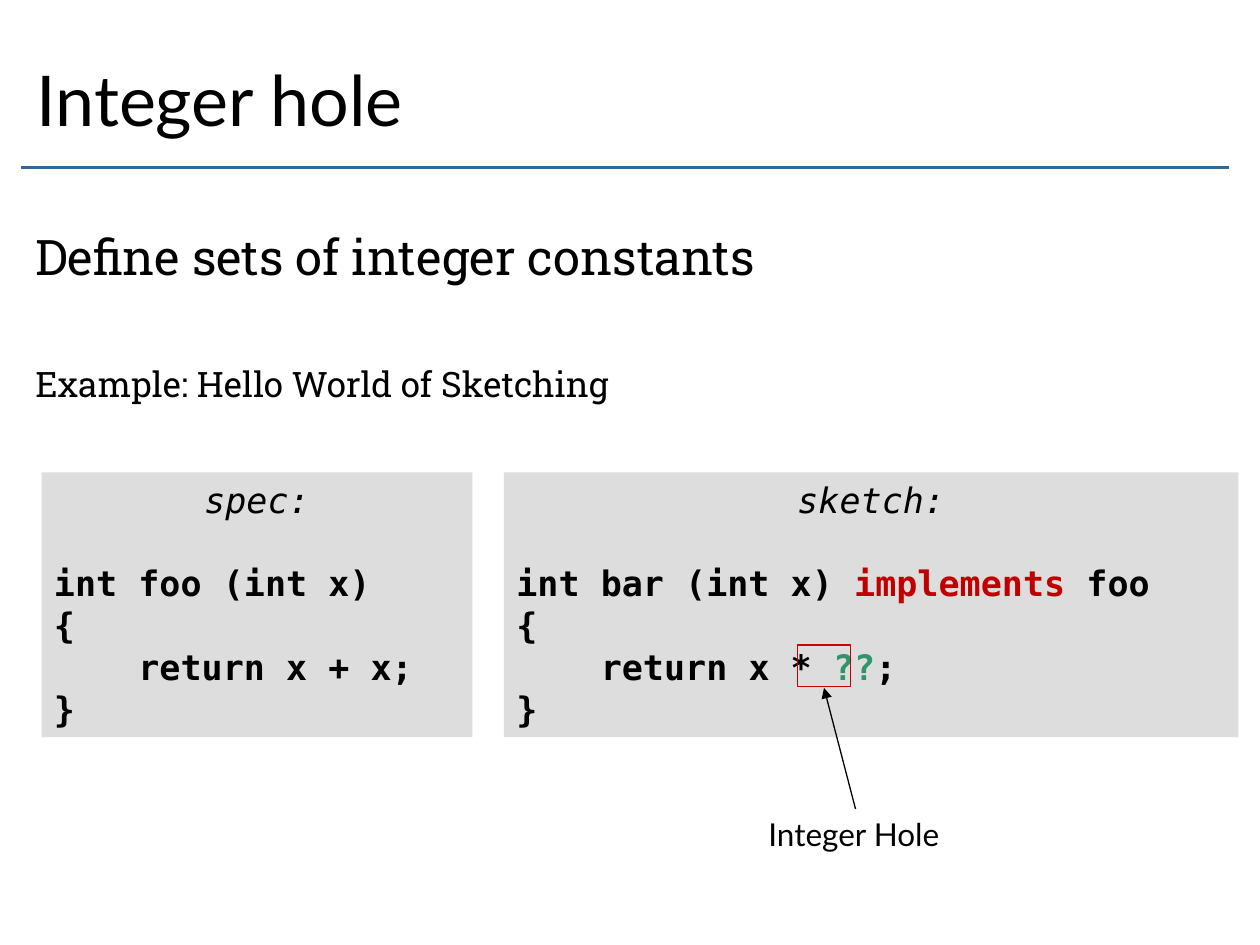
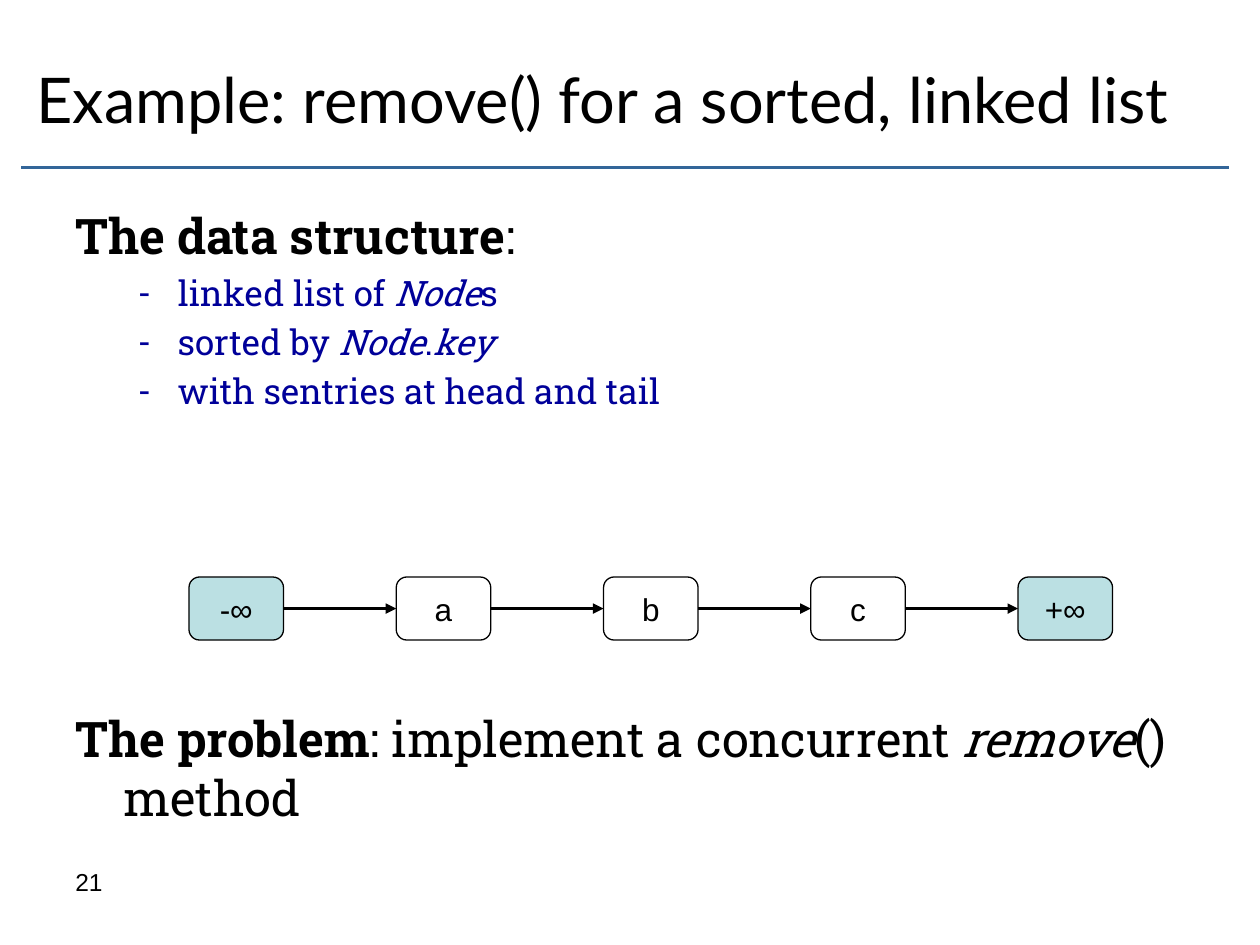
from lxml.etree import SubElement as Sub
from pptx import Presentation
from pptx.dml.color import RGBColor as Rgb
from pptx.enum.shapes import MSO_CONNECTOR as Conn, MSO_SHAPE as Kind
from pptx.enum.text import MSO_ANCHOR as Anchor, MSO_AUTO_SIZE as Auto, PP_ALIGN as Align
from pptx.oxml.ns import qn
from pptx.util import Inches, Pt

HUE = {
    "ink": "000000", "rule": "336699", "panel": "DDDDDD", "key": "C00000",
    "hole": "32946A", "frame": "CC0000", "list": "000099", "end": "BBE0E3",
}
HEAD, BODY, CODE, SANS = "Lato", "Roboto Slab", "DejaVu Sans Mono", "Arial"


def write(para, parts, face, size, hue="ink"):
    for text, style, *tint in parts:
        run = para.add_run()
        run.text = text
        font = run.font
        font.name, font.size = face, Pt(size)
        font.bold, font.italic = "b" in style, "i" in style
        font.color.rgb = Rgb.from_string(HUE[tint[0] if tint else hue])


def draw(slide, start, end, hue, width, arrow=True):
    points = [Inches(n) for n in (*start, *end)]
    line = slide.shapes.add_connector(Conn.STRAIGHT, *points)
    line.line.color.rgb = Rgb.from_string(HUE[hue])
    line.line.width = Pt(width)
    if arrow:
        Sub(line.line._get_or_add_ln(), qn("a:tailEnd"), type="triangle")
    Sub(line._element.spPr, qn("a:effectLst"))


deck = Presentation()
deck.slide_width, deck.slide_height = Inches(10), Inches(7.5)

pages = [
    ("Integer hole", 40, 9, (0.18, 1.75, 9, 4.17), [
        (0, 0, [("Define sets of integer constants", "")], 28),
        (0, 44, [("Example: Hello World of Sketching", "")], 20),
    ]),
    ("Example: remove() for a sorted, linked list", 36, 9.65, (0.5, 1.58, 9.08, 5.75), [
        (0, 0, [("The data structure", "b"), (":", "")], 28),
        (1, 0, [("linked list of ", ""), ("Node", "i"), ("s", "")], 20),
        (1, 0, [("sorted by ", ""), ("Node", "i"), (".", ""), ("key", "i")], 20),
        (1, 0, [("with sentries at head and tail", "")], 20),
        (0, 170, [("The problem", "b"), (": implement a concurrent ", ""),
                  ("remove", "i"), ("() method", "")], 28),
    ]),
]

slides = []
for title, size, width, place, items in pages:
    slide = deck.slides.add_slide(deck.slide_layouts[1])
    slides.append(slide)
    draw(slide, (0.17, 1.33), (9.75, 1.33), "rule", 2, False)

    head, body = slide.placeholders
    head.left, head.top, head.width, head.height = map(Inches, (0.19, 0.18, width, 1.2))
    head.text_frame.auto_size = Auto.NONE
    head.text_frame.vertical_anchor = Anchor.MIDDLE
    para = head.text_frame.paragraphs[0]
    para.alignment = Align.LEFT
    write(para, [(title, "")], HEAD, size)

    body.left, body.top, body.width, body.height = map(Inches, place)
    frame = body.text_frame
    frame.auto_size = Auto.NONE
    for i, (level, gap, parts, size) in enumerate(items):
        para = frame.add_paragraph() if i else frame.paragraphs[0]
        para.level = level
        if gap:
            para.space_before = Pt(gap)
        props = para._p.get_or_add_pPr()
        left, hang = ((0.38, 0.38), (0.81, 0.31))[level]
        props.set("marL", str(Inches(left)))
        props.set("indent", str(-Inches(hang)))
        if level:
            Sub(props, qn("a:buChar"), char="-")
        else:
            Sub(props, qn("a:buNone"))
        write(para, parts, BODY, size, "list" if level else "ink")

first, second = slides

panels = [
    (0.33, 3.42, "spec:", [("int foo (int x)", "b")], [("return x + x;", "b")]),
    (4, 5.83, "sketch:",
     [("int bar (int x) ", "b"), ("implements ", "b", "key"), ("foo", "b")],
     [("return x * ", "b"), ("??", "b", "hole"), (";", "b")]),
]
for left, width, name, sign, result in panels:
    panel = first.shapes.add_shape(
        Kind.RECTANGLE, Inches(left), Inches(3.75), Inches(width), Inches(2.1))
    panel.shadow.inherit = False
    panel.fill.solid()
    panel.fill.fore_color.rgb = Rgb.from_string(HUE["panel"])
    panel.line.fill.background()
    frame = panel.text_frame
    frame.word_wrap = True
    frame.vertical_anchor = Anchor.TOP
    lines = [[(name, "i")], sign, [("{", "b")], result, [("}", "b")]]
    for i, parts in enumerate(lines):
        para = frame.add_paragraph() if i else frame.paragraphs[0]
        para.alignment = Align.LEFT if i else Align.CENTER
        if parts is sign:
            para.space_before = Pt(23.5)
        if parts is result:
            para._p.get_or_add_pPr().set("marL", str(Inches(0.67)))
        write(para, parts, CODE, 20)

hole = first.shapes.add_shape(
    Kind.RECTANGLE, Inches(6.33), Inches(5.12), Inches(0.42), Inches(0.33))
hole.shadow.inherit = False
hole.fill.background()
hole.line.color.rgb = Rgb.from_string(HUE["frame"])
hole.line.width = Pt(0.75)
draw(first, (6.79, 6.42), (6.54, 5.46), "ink", 0.75)

labels = [
    (first, (6, 6.42, 1.58, 0.4), "Integer Hole", HEAD, 18, False),
    (second, (0.5, 6.83, 2.33, 0.52), "21", SANS, 14, True),
]
for slide, place, text, face, size, wrap in labels:
    label = slide.shapes.add_textbox(*map(Inches, place))
    label.text_frame.word_wrap = wrap
    write(label.text_frame.paragraphs[0], [(text, "")], face, size)

start, step, wide, high, top = 1.5, 1.645, 0.75, 0.5, 4.58
nodes = ["-∞", "a", "b", "c", "+∞"]
for i, name in enumerate(nodes):
    left = start + i * step
    node = second.shapes.add_shape(
        Kind.ROUNDED_RECTANGLE, Inches(left), Inches(top), Inches(wide), Inches(high))
    node.shadow.inherit = False
    if "∞" in name:
        node.fill.solid()
        node.fill.fore_color.rgb = Rgb.from_string(HUE["end"])
    else:
        node.fill.background()
    node.line.color.rgb = Rgb.from_string(HUE["ink"])
    node.line.width = Pt(0.75)
    frame = node.text_frame
    frame.word_wrap = False
    frame.vertical_anchor = Anchor.MIDDLE
    para = frame.paragraphs[0]
    para.alignment = Align.CENTER
    write(para, [(name, "")], SANS, 18)
    if i:
        mid = top + high / 2
        draw(second, (left - step + wide, mid), (left, mid), "ink", 2)

deck.save("out.pptx")
